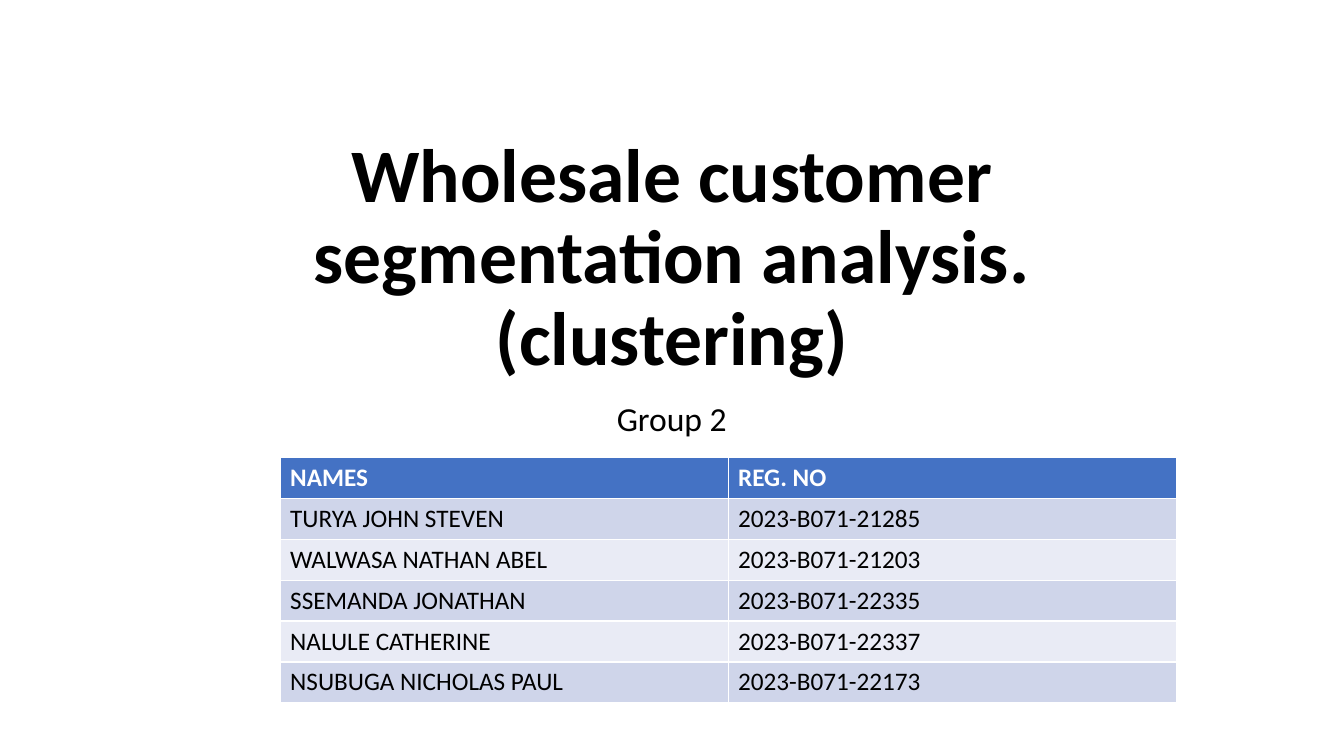
from dataclasses import dataclass

from pptx import Presentation
from pptx import util as u
from pptx.dml.color import RGBColor
from pptx.enum import text


@dataclass(frozen=True)
class Theme:
    font: str = "Calibri"
    title_size: int = 54
    subtitle_size: int = 24
    table_size: int = 18
    ink: str = "000000"
    header_ink: str = "FFFFFF"
    header_fill: str = "4472C4"
    odd_fill: str = "CFD5EA"
    even_fill: str = "E9EBF5"


THEME = Theme()

MEMBERS = [
    ("NAMES", "REG. NO"),
    ("TURYA JOHN STEVEN", "2023-B071-21285"),
    ("WALWASA NATHAN ABEL", "2023-B071-21203"),
    ("SSEMANDA JONATHAN", "2023-B071-22335"),
    ("NALULE CATHERINE", "2023-B071-22337"),
    ("NSUBUGA NICHOLAS PAUL", "2023-B071-22173"),
]


def format_spans(para, size, color, bold=False):
    for span in para.runs:
        span.font.name = THEME.font
        span.font.size = u.Pt(size)
        span.font.bold = bold
        span.font.color.rgb = RGBColor.from_string(color)


def fill_placeholder(box, wording, top, height, size, anchor, bold=False, space_before=0):
    """Place a centred heading in one of the layout's placeholders."""
    box.left, box.top = u.Cm(4.23), u.Cm(top)
    box.width, box.height = u.Cm(25.4), u.Cm(height)
    frame = box.text_frame
    frame.text = wording
    frame.word_wrap = True
    frame.auto_size = text.MSO_AUTO_SIZE.NONE
    frame.vertical_anchor = anchor
    para = frame.paragraphs[0]
    para.alignment = text.PP_ALIGN.CENTER
    para.line_spacing = 0.9
    para.space_before = u.Pt(space_before)
    format_spans(para, size, bold=bold, color=THEME.ink)


def add_member_table(page, rows):
    """Draw a header row followed by banded rows."""
    frame = page.shapes.add_table(
        len(rows), len(rows[0]),
        u.Cm(7.06), u.Cm(11.53), u.Cm(22.58), u.Cm(1.03 * len(rows)))
    for index, values in enumerate(rows):
        is_header = index == 0
        band = THEME.odd_fill if index % 2 else THEME.even_fill
        for column, value in enumerate(values):
            cell = frame.table.cell(index, column)
            cell.fill.solid()
            cell.fill.fore_color.rgb = RGBColor.from_string(
                THEME.header_fill if is_header else band)
            cell.text_frame.text = value
            format_spans(cell.text_frame.paragraphs[0], THEME.table_size,
                         THEME.header_ink if is_header else THEME.ink, is_header)


def main():
    deck = Presentation()
    deck.slide_width, deck.slide_height = u.Cm(33.87), u.Cm(19.05)
    page = deck.slides.add_slide(deck.slide_layouts[0])

    # Title and subtitle
    fill_placeholder(page.shapes.title,
                     "Wholesale customer segmentation analysis.\v(clustering)",
                     3.12, 6.63, THEME.title_size, text.MSO_ANCHOR.BOTTOM, bold=True)
    fill_placeholder(page.placeholders[1], "Group 2",
                     10.01, 4.6, THEME.subtitle_size, text.MSO_ANCHOR.TOP, space_before=10)

    # Group members
    add_member_table(page, MEMBERS)

    deck.save("out.pptx")


if __name__ == "__main__":
    main()
